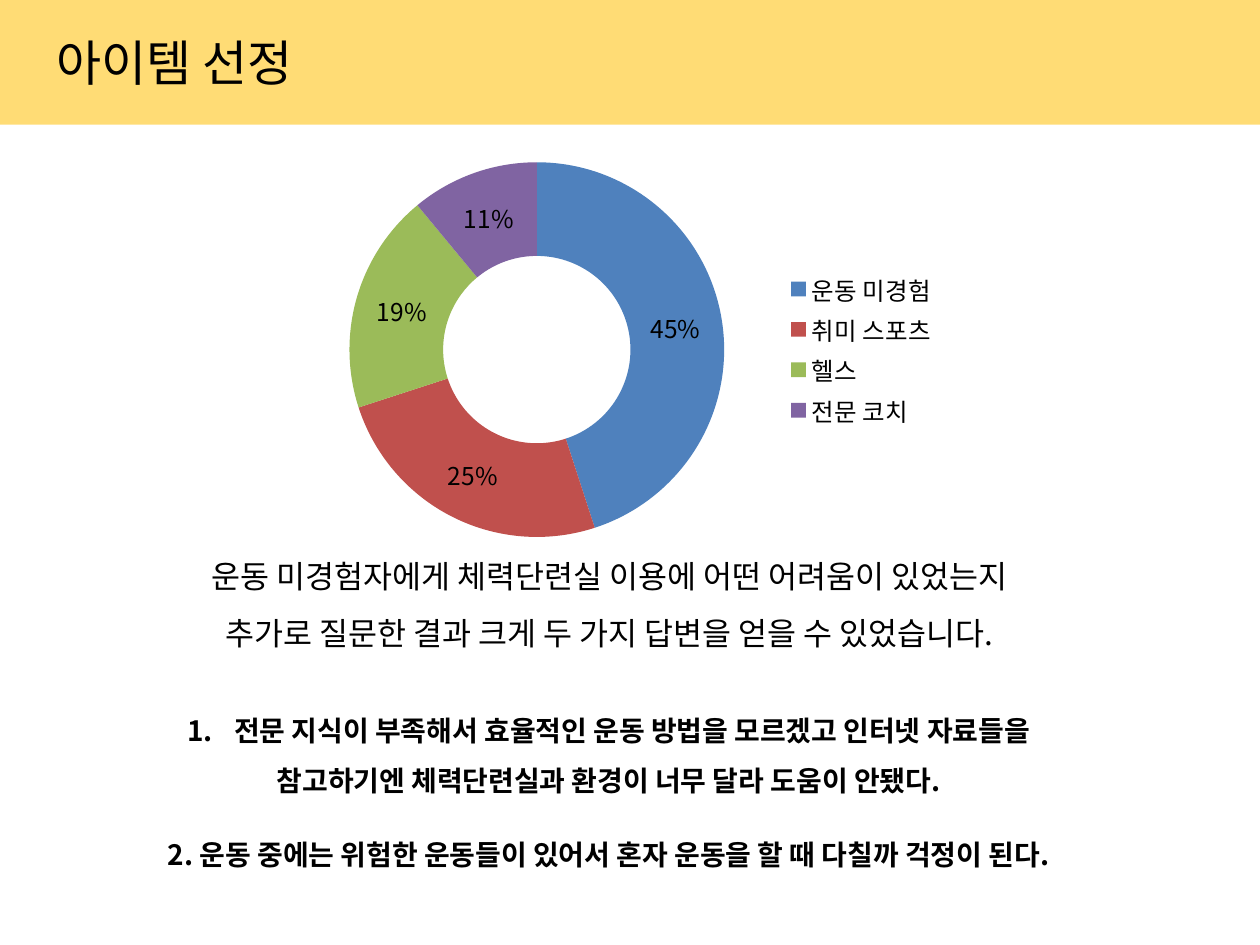
import pptx
import pptx.chart.data
import pptx.dml.color
import pptx.enum.chart
import pptx.enum.shapes
import pptx.enum.text
import pptx.oxml.ns
import pptx.util
from lxml import etree

FONT = "Noto Sans CJK KR"
COLORS = {"band": "FFC000", "text": "000000"}
SURVEY = {
    "운동 미경험": (45, "4F81BD"),
    "취미 스포츠": (25, "C0504D"),
    "헬스": (19, "9BBB59"),
    "전문 코치": (11, "8064A2"),
}
WIDTH, HEIGHT = pptx.util.Inches(10), pptx.util.Inches(7.5)
COLUMN, ROW = WIDTH / 100, HEIGHT / 75


def grid_box(left, top, width, height):
    return tuple(round(n * unit) for n, unit in
                 zip((left, top, width, height), (COLUMN, ROW, COLUMN, ROW)))


def rgb(value):
    return pptx.dml.color.RGBColor.from_string(value)


def format_font(font, size, bold=None):
    font.size = pptx.util.Pt(size)
    font.bold = bold
    font.color.rgb = rgb(COLORS["text"])
    font.name = FONT
    latin = font._element.find(pptx.oxml.ns.qn("a:latin"))
    east_asian = etree.Element(pptx.oxml.ns.qn("a:ea"), typeface=FONT)
    latin.addnext(east_asian)


def write_text(frame, text, size, bold=None, spacing=1.0,
               align=pptx.enum.text.PP_ALIGN.CENTER):
    frame.word_wrap = True
    frame.auto_size = pptx.enum.text.MSO_AUTO_SIZE.SHAPE_TO_FIT_TEXT
    frame.vertical_anchor = pptx.enum.text.MSO_ANCHOR.TOP
    for index, line in enumerate(text.split("\n")):
        paragraph = frame.add_paragraph() if index else frame.paragraphs[0]
        paragraph.alignment = align
        paragraph.line_spacing = spacing
        run = paragraph.add_run()
        run.text = line
        format_font(run.font, size, bold)


def number_paragraph(paragraph, indent):
    properties = paragraph._p.get_or_add_pPr()
    properties.set("marL", str(indent))
    properties.set("indent", str(-indent))
    etree.SubElement(properties, pptx.oxml.ns.qn("a:buFont"), typeface="+mj-lt")
    etree.SubElement(properties, pptx.oxml.ns.qn("a:buAutoNum"), type="arabicPeriod")


def add_header(slide, left, top, width, height):
    band = slide.shapes.add_shape(
        pptx.enum.shapes.MSO_SHAPE.RECTANGLE, left, top, width, height)
    band.shadow.inherit = False
    band.fill.solid()
    band.fill.fore_color.rgb = rgb(COLORS["band"])
    band.line.fill.background()
    color = band._element.spPr.find(".//" + pptx.oxml.ns.qn("a:srgbClr"))
    etree.SubElement(color, pptx.oxml.ns.qn("a:alpha"), val="54000")
    title = slide.shapes.title
    title._element.addprevious(band._element)
    title.left, title.top = round(left + width * 0.035), round(top + height * 0.21)
    title.width, title.height = round(width * 0.22), round(height * 0.58)
    write_text(title.text_frame, "아이템 선정", 28,
               align=pptx.enum.text.PP_ALIGN.LEFT)


def add_survey_chart(slide, left, top, width, height):
    data = pptx.chart.data.CategoryChartData()
    data.categories = list(SURVEY)
    data.add_series("Series 1", [value for value, _ in SURVEY.values()])
    chart = slide.shapes.add_chart(
        pptx.enum.chart.XL_CHART_TYPE.DOUGHNUT, left, top, width, height, data).chart
    format_font(chart.font, 14)
    chart.has_title = False
    chart.has_legend = True
    chart.legend.position = pptx.enum.chart.XL_LEGEND_POSITION.RIGHT
    chart.legend.include_in_layout = False
    plot = chart.plots[0]
    plot.vary_by_categories = True
    plot.has_data_labels = True
    plot.data_labels.show_percentage = True
    plot.data_labels.show_value = False
    plot.data_labels.number_format = "0%"
    plot.data_labels.number_format_is_linked = False
    for index, (_, color) in enumerate(SURVEY.values()):
        fill = plot.series[0].points[index].format.fill
        fill.solid()
        fill.fore_color.rgb = rgb(color)


def add_summary(slide, left, top, width, height):
    summary = slide.shapes.add_textbox(left, top, width, height)
    write_text(summary.text_frame,
               "운동 미경험자에게 체력단련실 이용에 어떤 어려움이 있었는지\n"
               "추가로 질문한 결과 크게 두 가지 답변을 얻을 수 있었습니다.",
               18, spacing=1.5)


def add_answers(slide, left, top, width, height):
    knowledge = slide.shapes.add_textbox(left, top, width, round(height * 0.58))
    write_text(knowledge.text_frame,
               "전문 지식이 부족해서 효율적인 운동 방법을 모르겠고 인터넷 자료들을\n"
               "참고하기엔 체력단련실과 환경이 너무 달라 도움이 안됐다.",
               16, bold=True, spacing=1.5)
    number_paragraph(knowledge.text_frame.paragraphs[0], round(width * 0.05))
    safety = slide.shapes.add_textbox(
        left, round(top + height * 0.66), width, round(height * 0.34))
    write_text(safety.text_frame,
               "2. 운동 중에는 위험한 운동들이 있어서 혼자 운동을 할 때 다칠까 걱정이 된다.",
               16, bold=True, spacing=1.5)


def main():
    deck = pptx.Presentation()
    deck.slide_width, deck.slide_height = WIDTH, HEIGHT
    slide = deck.slides.add_slide(deck.slide_layouts[5])
    add_header(slide, *grid_box(0, 0, 100, 9.9))
    add_summary(slide, *grid_box(14.6, 42.2, 67.5, 10.1))
    add_survey_chart(slide, *grid_box(23.2, 11.5, 52.2, 32.5))
    add_answers(slide, *grid_box(10.9, 54.8, 74.8, 14.9))
    deck.save("out.pptx")


if __name__ == "__main__":
    main()
